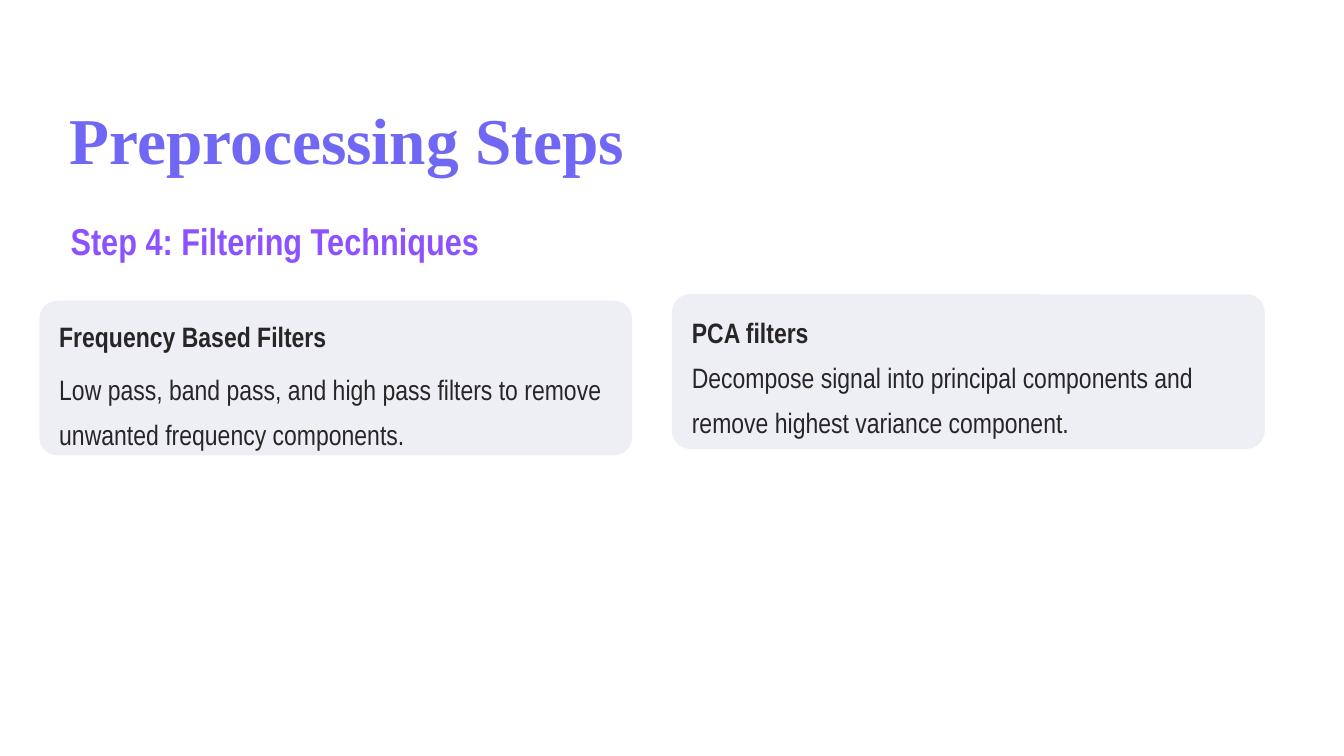
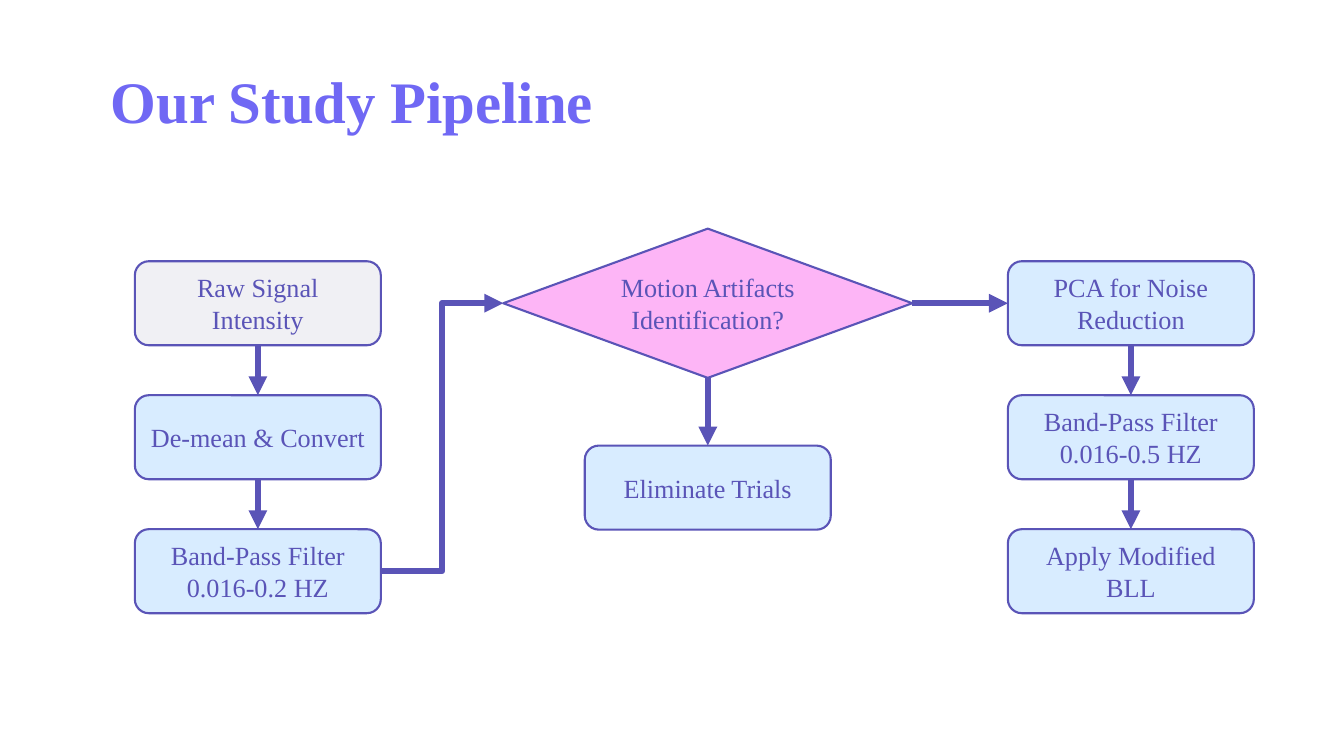
"""Build two slides on signal preprocessing: filtering techniques and the study pipeline."""
from dataclasses import dataclass

from lxml import etree
from pptx import Presentation
from pptx import util as u
from pptx.dml.color import RGBColor
from pptx.enum import shapes, text
from pptx.oxml import ns

Pt = u.Pt


@dataclass(frozen=True)
class Theme:
    serif: str = "Times New Roman"
    narrow: str = "Arial Narrow"
    title: str = "7068F4"
    subtitle: str = "8C52FF"
    body: str = "272525"
    card: str = "EEEFF5"
    ink: str = "5A54B7"
    source: str = "F0F0F4"
    process: str = "D8ECFF"
    decision: str = "FDB5F6"
    title_size: float = 46.7
    pipeline_title_size: float = 42
    subtitle_size: float = 26.7
    body_size: float = 20
    node_size: float = 18.7
    outline: float = 1.5
    arrow: float = 4.5


THEME = Theme()
SLIDE_SIZE = (960, 540)

FILTER_TITLE = "Preprocessing Steps"
FILTER_SUBTITLE = "Step 4: Filtering Techniques"
CARD_SIZE = (423.4, 110.4)
CARD_RADIUS = 12.8
CARD_INSET = 14.2
FILTER_CARDS = [
    {"at": (28.1, 214.8), "heading": "Frequency Based Filters", "heading_drop": 5.6, "body_drop": 43.8,
     "body": "Low pass, band pass, and high pass filters to remove unwanted frequency components."},
    {"at": (480, 210.2), "heading": "PCA filters", "heading_drop": 7.2, "body_drop": 39.6,
     "body": "Decompose signal into principal components and remove highest variance component."},
]

PIPELINE_TITLE = "Our Study Pipeline"
NODE_SIZE = (175.7, 60)
DECISION_SIZE = (292.2, 106.6)
LEFT, MIDDLE, RIGHT = 184.2, 505.6, 807.8
FIRST_ROW, ROW_PITCH, ELIMINATE_ROW = 216.6, 95.7, 348.3
TOP_ROW, CENTER_ROW, BOTTOM_ROW = (FIRST_ROW + ROW_PITCH * row for row in range(3))
NODES = {
    "raw": ("Raw Signal Intensity", LEFT, TOP_ROW, THEME.source),
    "convert": ("De-mean & Convert", LEFT, CENTER_ROW, THEME.process),
    "first filter": ("Band-Pass Filter 0.016-0.2 HZ", LEFT, BOTTOM_ROW, THEME.process),
    "artifacts": ("Motion Artifacts Identification?", MIDDLE, TOP_ROW, THEME.decision),
    "eliminate": ("Eliminate Trials", MIDDLE, ELIMINATE_ROW, THEME.process),
    "noise": ("PCA for Noise Reduction", RIGHT, TOP_ROW, THEME.process),
    "second filter": ("Band-Pass Filter 0.016-0.5 HZ", RIGHT, CENTER_ROW, THEME.process),
    "apply": ("Apply Modified BLL", RIGHT, BOTTOM_ROW, THEME.process),
}
TOP_SITE, LEFT_SITE, BOTTOM_SITE, RIGHT_SITE = range(4)
DOWN = (BOTTOM_SITE, TOP_SITE)
ACROSS = (RIGHT_SITE, LEFT_SITE)
STRAIGHT, ELBOW = shapes.MSO_CONNECTOR.STRAIGHT, shapes.MSO_CONNECTOR.ELBOW
LINKS = [
    ("raw", "convert", DOWN, STRAIGHT),
    ("convert", "first filter", DOWN, STRAIGHT),
    ("first filter", "artifacts", ACROSS, ELBOW),
    ("artifacts", "eliminate", DOWN, STRAIGHT),
    ("artifacts", "noise", ACROSS, STRAIGHT),
    ("noise", "second filter", DOWN, STRAIGHT),
    ("second filter", "apply", DOWN, STRAIGHT),
]


def points(*lengths):
    return [Pt(length) for length in lengths]


def write(frame, words, font, size, color, bold=False, spacing=None):
    frame.word_wrap = True
    frame.text = words
    paragraph = frame.paragraphs[0]
    paragraph.line_spacing = spacing
    style = paragraph.runs[0].font
    style.name, style.size, style.bold = font, Pt(size), bold
    style.color.rgb = RGBColor.from_string(color)
    return paragraph


def add_text(slide, box, words, font, size, color, bold, spacing, inset=True):
    frame = slide.shapes.add_textbox(*points(*box)).text_frame
    if not inset:
        frame.margin_left = frame.margin_top = frame.margin_right = frame.margin_bottom = 0
    write(frame, words, font, size, color, bold, spacing)
    return frame


def add_title(slide, box, words, size, spacing, inset):
    return add_text(slide, box, words, THEME.serif, size, THEME.title, True, spacing, inset)


def add_block(slide, kind, box, fill):
    block = slide.shapes.add_shape(kind, *points(*box))
    block.shadow.inherit = False
    block.fill.solid()
    block.fill.fore_color.rgb = RGBColor.from_string(fill)
    return block


def add_card(slide, card):
    left, top = card["at"]
    width, height = CARD_SIZE
    panel = add_block(slide, shapes.MSO_SHAPE.ROUNDED_RECTANGLE, (left, top, width, height), THEME.card)
    panel.adjustments[0] = CARD_RADIUS / height
    panel.line.fill.background()
    for part, part_height, bold in (("heading", 34.6, True), ("body", 66.2, False)):
        box = (left + CARD_INSET, top + card[part + "_drop"], width - 2 * CARD_INSET, part_height)
        add_text(slide, box, card[part], THEME.narrow, THEME.body_size, THEME.body, bold, Pt(31.8), False)


def add_node(slide, words, center, middle, fill):
    decision = fill == THEME.decision
    width, height = DECISION_SIZE if decision else NODE_SIZE
    kind = shapes.MSO_SHAPE.DIAMOND if decision else shapes.MSO_SHAPE.ROUNDED_RECTANGLE
    node = add_block(slide, kind, (center - width / 2, middle - height / 2, width, height), fill)
    node.line.color.rgb = RGBColor.from_string(THEME.ink)
    node.line.width = Pt(THEME.outline)
    node.text_frame.vertical_anchor = text.MSO_ANCHOR.MIDDLE
    paragraph = write(node.text_frame, words, THEME.serif, THEME.node_size, THEME.ink)
    paragraph.alignment = text.PP_ALIGN.CENTER
    return node


def add_arrow(slide, start, end, sites, kind):
    arrow = slide.shapes.add_connector(kind, 0, 0, 0, 0)
    arrow.begin_connect(start, sites[0])
    arrow.end_connect(end, sites[1])
    arrow.line.color.rgb = RGBColor.from_string(THEME.ink)
    arrow.line.width = Pt(THEME.arrow)
    etree.SubElement(arrow.get_or_add_ln(), ns.qn("a:tailEnd"), type="triangle")
    etree.SubElement(arrow.element.spPr, ns.qn("a:effectLst"))


def build_filters(slide):
    add_title(slide, (49.7, 68.4, 612.7, 78.5), FILTER_TITLE, THEME.title_size, Pt(58.7), False)
    add_text(slide, (50.4, 154.1, 526.3, 41.8), FILTER_SUBTITLE, THEME.narrow,
             THEME.subtitle_size, THEME.subtitle, True, Pt(33.7), False)
    for card in FILTER_CARDS:
        add_card(slide, card)


def build_pipeline(slide):
    frame = add_title(slide, (72, 44.6, 367.2, 59.8), PIPELINE_TITLE, THEME.pipeline_title_size, 0.9, True)
    frame.vertical_anchor = text.MSO_ANCHOR.MIDDLE
    nodes = {name: add_node(slide, *node) for name, node in NODES.items()}
    for start, end, sites, kind in LINKS:
        add_arrow(slide, nodes[start], nodes[end], sites, kind)


def main():
    presentation = Presentation()
    presentation.slide_width, presentation.slide_height = points(*SLIDE_SIZE)
    for build in (build_filters, build_pipeline):
        build(presentation.slides.add_slide(presentation.slide_layouts[6]))
    presentation.save("out.pptx")


if __name__ == "__main__":
    main()
